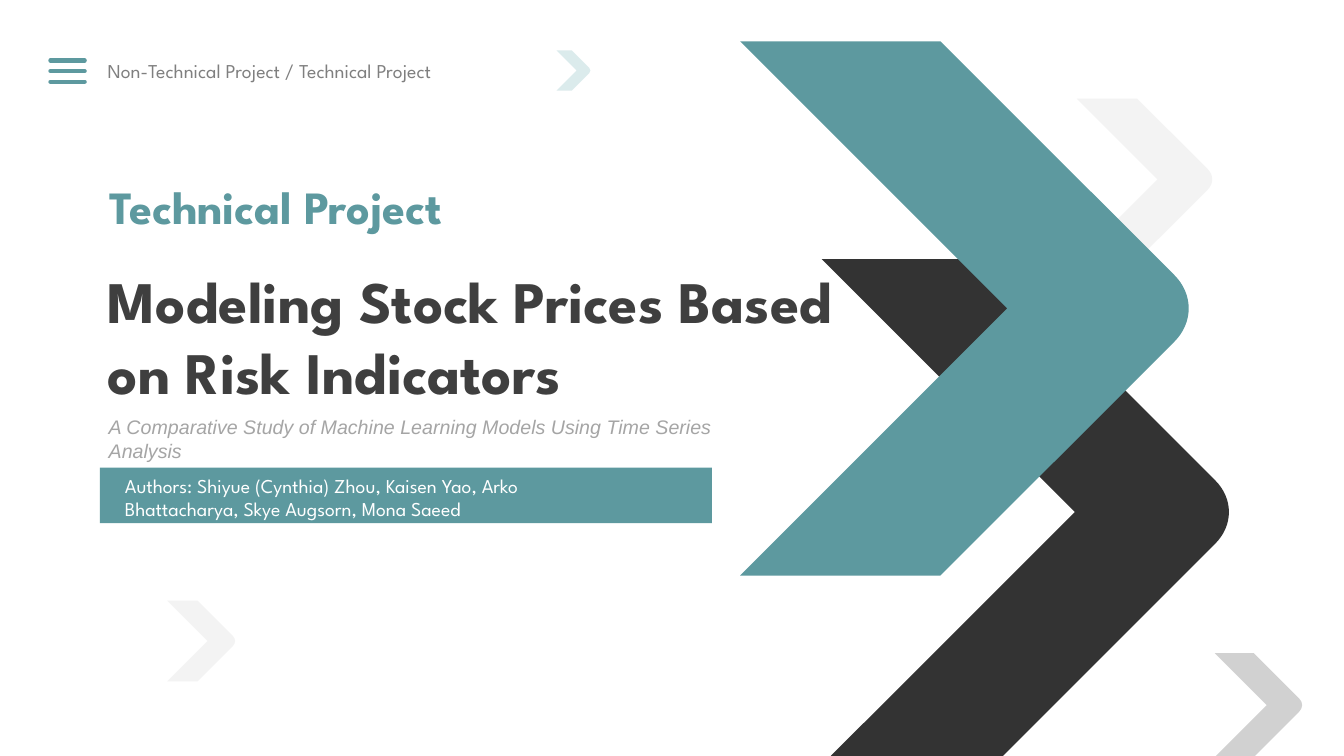
from dataclasses import dataclass

from lxml.etree import SubElement
from pptx import Presentation
from pptx.dml.color import RGBColor
from pptx.enum.shapes import MSO_CONNECTOR, MSO_SHAPE
from pptx.enum.text import MSO_AUTO_SIZE, PP_ALIGN
from pptx.oxml.ns import qn
from pptx.util import Inches, Pt

SLIDE_W, SLIDE_H = 13.33, 7.5


@dataclass(frozen=True)
class Theme:
    teal: str = "5D999F"
    pale_teal: str = "D8E9EB"
    black: str = "000000"
    silver: str = "CCCCCC"
    mist: str = "F2F2F2"
    title: str = "3F3F3F"
    subtitle: str = "A5A5A5"
    header: str = "7F7F7F"
    white: str = "FFFFFF"
    heading_font: str = "League Spartan"
    body_font: str = "Arial"
    title_size: int = 42
    section_size: int = 33
    small_size: int = 14


THEME = Theme()


def paint(sp, color, opacity=100):
    sp.shadow.inherit = False
    sp.fill.solid()
    sp.fill.fore_color.rgb = RGBColor.from_string(color)
    sp.line.fill.background()
    if opacity < 100:
        clr = sp._element.spPr.find(qn("a:solidFill"))[0]
        SubElement(clr, qn("a:alpha"), val=str(opacity * 1000))


def add_chevron(shapes, left, top, height, color, opacity=90, arm=0.375):
    """Draw a round-tipped chevron; arm is its thickness as a share of height.

    The lower arm is cut off where it would leave the slide.
    """
    mid = height / 2
    cut = max(0, top + height - SLIDE_H)
    thick = arm * height
    rise = 0.4375 * height
    bulge = 0.036 * height
    shoulder = thick + rise
    points = [
        (thick, 0),
        (shoulder, rise),
        (shoulder + bulge, rise + bulge),
        (shoulder + bulge, height - rise - bulge),
        (shoulder, height - rise),
        (thick + cut, height - cut),
        (cut, height - cut),
        (mid, mid),
    ]
    builder = shapes.build_freeform(Inches(left), Inches(top))
    builder.add_line_segments(
        [(Inches(left + x), Inches(top + y)) for x, y in points], close=True)
    sp = builder.convert_to_shape()
    round_tip(sp)
    paint(sp, color, opacity)


def round_tip(sp):
    """Turn the three segments after the shoulder into one Bézier curve."""
    segments = sp._element.findall(".//" + qn("a:lnTo"))[2:5]
    outline = segments[0].getparent()
    curve = outline.makeelement(qn("a:cubicBezTo"), {})
    segments[0].addprevious(curve)
    for segment in segments:
        curve.append(segment[0])
        outline.remove(segment)


def add_text(shapes, box, text, size, color, font=THEME.heading_font,
             bold=False, italic=False, align=PP_ALIGN.LEFT):
    tf = shapes.add_textbox(*map(Inches, box)).text_frame
    tf.word_wrap = True
    tf.auto_size = MSO_AUTO_SIZE.SHAPE_TO_FIT_TEXT
    p = tf.paragraphs[0]
    p.text = text
    p.alignment = align
    p.font.name = font
    p.font.size = Pt(size)
    p.font.bold = bold
    p.font.italic = italic
    p.font.color.rgb = RGBColor.from_string(color)


def add_authors_bar(s, authors):
    shapes = s.shapes.add_group_shape().shapes
    bar = shapes.add_shape(MSO_SHAPE.RECTANGLE, Inches(0.99), Inches(4.64),
                           Inches(6.07), Inches(0.55))
    paint(bar, THEME.teal)
    add_text(shapes, (1.14, 4.65, 5.19, 0.57), authors,
             THEME.small_size, THEME.white)


def add_menu_icon(s):
    shapes = s.shapes.add_group_shape().shapes
    for row in range(3):
        y = Inches(0.6 + 0.105 * row)
        line = shapes.add_connector(MSO_CONNECTOR.STRAIGHT,
                                    Inches(0.5), y, Inches(0.84), y)
        line.line.color.rgb = RGBColor.from_string(THEME.teal)
        line.line.width = Pt(3)
        line.line._get_or_add_ln().set("cap", "rnd")
        SubElement(line._element.spPr, qn("a:effectLst"))


def main():
    prs = Presentation()
    prs.slide_width, prs.slide_height = Inches(SLIDE_W), Inches(SLIDE_H)
    s = prs.slides.add_slide(prs.slide_layouts[6])

    add_chevron(s.shapes, 10.68, 0.98, 1.6, THEME.mist)
    add_chevron(s.shapes, 8.15, 2.57, 5.02, THEME.black, opacity=80, arm=0.34)
    add_chevron(s.shapes, 7.34, 0.41, 5.3, THEME.teal, opacity=100)

    add_text(s.shapes, (0.99, 1.72, 5.39, 0.66), "Technical Project",
             THEME.section_size, THEME.teal, bold=True)
    add_text(s.shapes, (0.97, 2.58, 7.66, 1.52),
             "Modeling Stock Prices Based on Risk Indicators",
             THEME.title_size, THEME.title, bold=True)
    add_text(s.shapes, (0.98, 4.07, 6.63, 0.76),
             "A Comparative Study of Machine Learning Models "
             "Using Time Series Analysis",
             THEME.small_size, THEME.subtitle, THEME.body_font, italic=True)
    add_authors_bar(s, "Authors: Shiyue (Cynthia) Zhou, Kaisen Yao, "
                       "Arko Bhattacharya, Skye Augsorn, Mona Saeed")

    add_chevron(s.shapes, 12.05, 6.48, 1.03, THEME.silver)
    add_chevron(s.shapes, 1.66, 5.96, 0.8, THEME.mist)
    add_chevron(s.shapes, 5.52, 0.5, 0.4, THEME.pale_teal)

    add_menu_icon(s)
    add_text(s.shapes, (0.97, 0.54, 4.34, 0.34),
             "Non-Technical Project / Technical Project",
             THEME.small_size, THEME.header, align=PP_ALIGN.JUSTIFY)

    prs.save("out.pptx")


if __name__ == "__main__":
    main()
